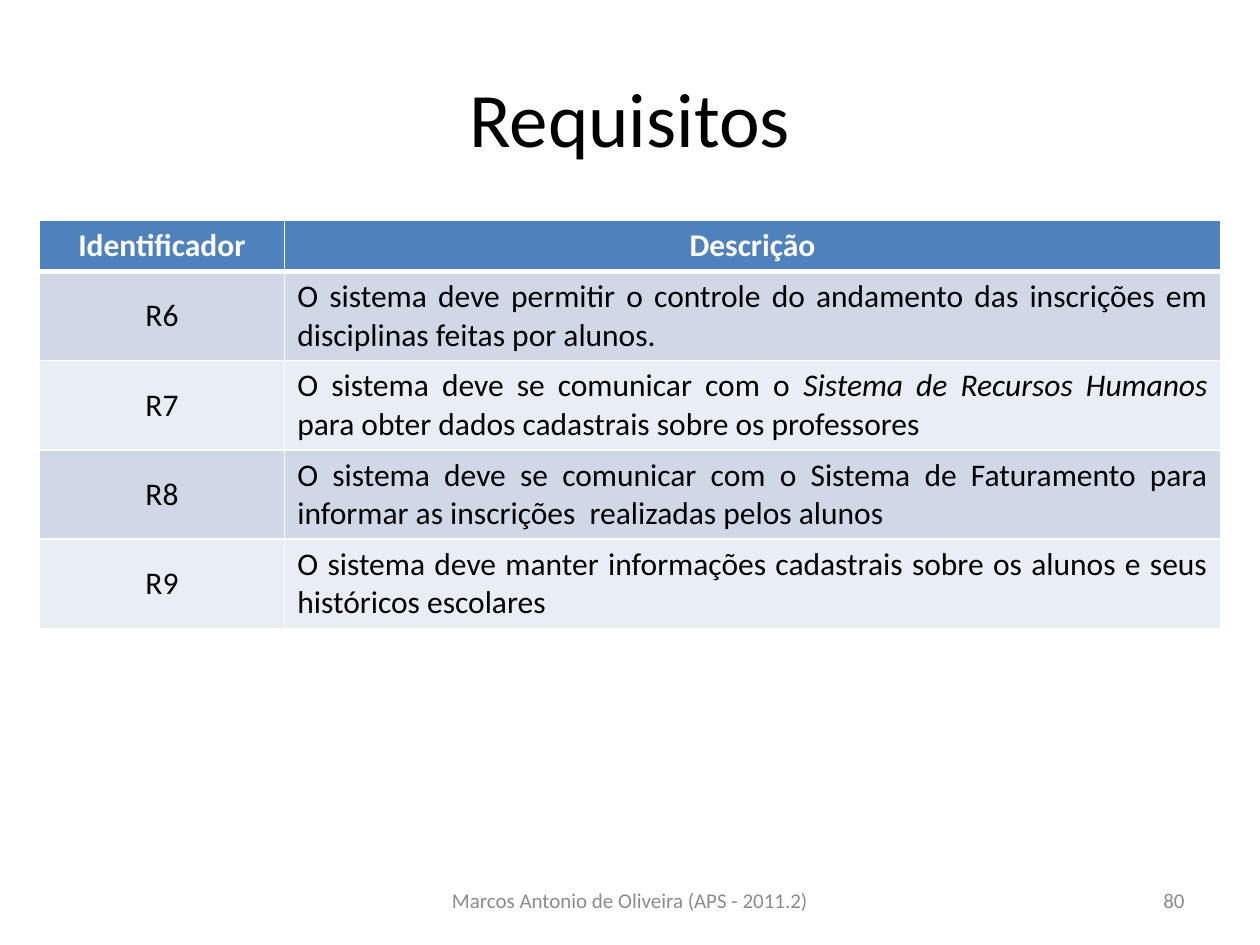
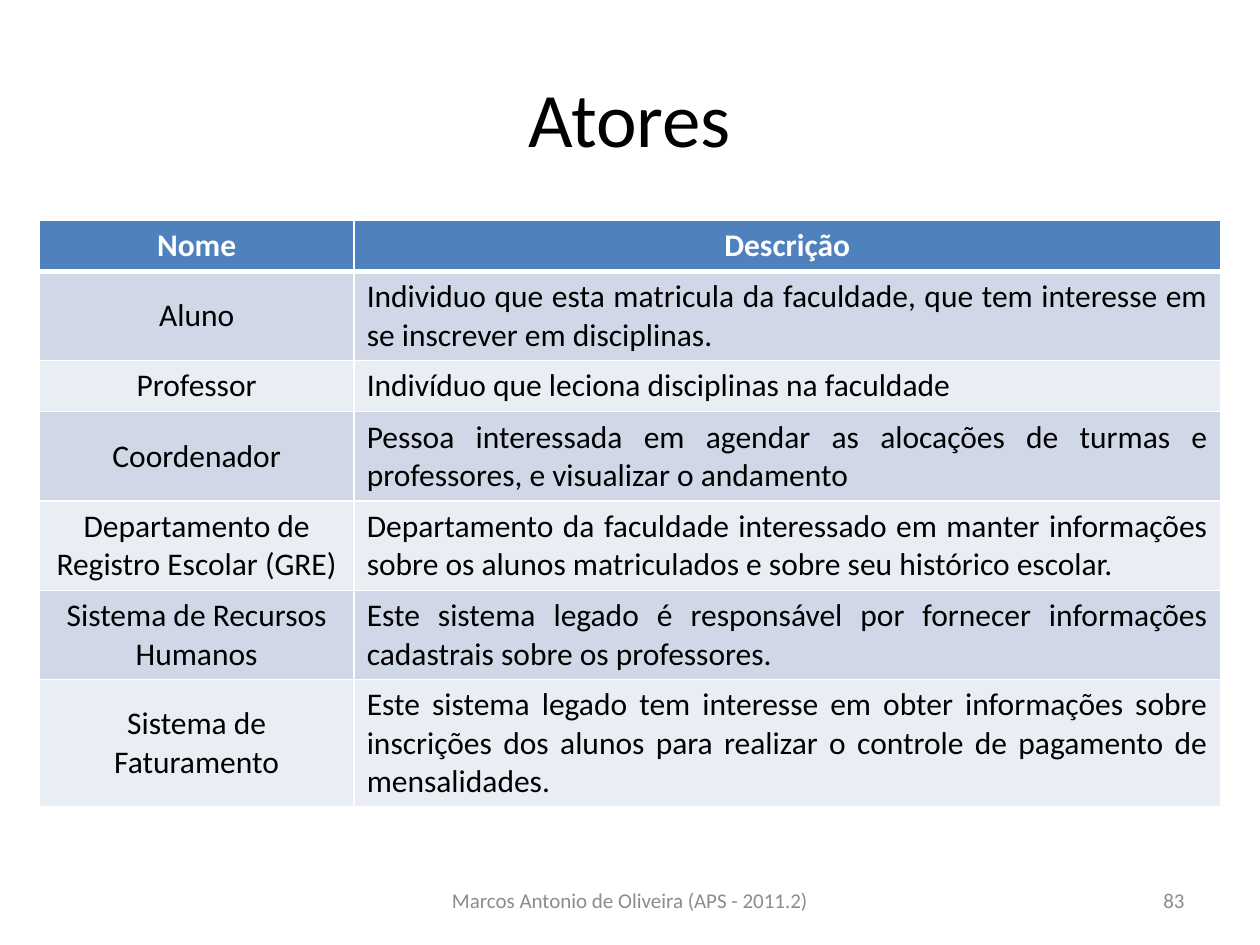
from dataclasses import dataclass

import lxml.etree
import pptx
import pptx.dml.color
import pptx.enum.text
import pptx.oxml.ns
import pptx.util

Cm = pptx.util.Cm
Pt = pptx.util.Pt
ALIGN = pptx.enum.text.PP_ALIGN
MIDDLE = pptx.enum.text.MSO_ANCHOR.MIDDLE
TOP = pptx.enum.text.MSO_ANCHOR.TOP


@dataclass(frozen=True)
class Theme:
    font: str = "Calibri"
    title_size: int = 44
    table_size: int = 18
    footer_size: int = 12
    text: str = "000000"
    footer: str = "8C8C8C"
    header_text: str = "FFFFFF"
    header_fill: str = "4F81BD"
    band_fills: tuple = ("D0D8E8", "E9EDF4")
    border: str = "FFFFFF"
    thin_border: int = 1
    header_border: int = 3


THEME = Theme()
FOOTER_TEXT = "Marcos Antonio de Oliveira (APS - 2011.2)"

# Table geometry in centimetres
TABLE_LEFT, TABLE_TOP, TABLE_WIDTH = 0.79, 4.44, 23.81
LINE_HEIGHT, ROW_PADDING = 0.77, 0.26

# Each row: name, description (*italic*), number of text lines
REQUIREMENTS = [
    ("R6", "O sistema deve permitir o controle do andamento das inscrições em "
           "disciplinas feitas por alunos.", 2),
    ("R7", "O sistema deve se comunicar com o *Sistema de Recursos Humanos* para "
           "obter dados cadastrais sobre os professores", 2),
    ("R8", "O sistema deve se comunicar com o Sistema de Faturamento para "
           "informar as inscrições  realizadas pelos alunos", 2),
    ("R9", "O sistema deve manter informações cadastrais sobre os alunos e seus "
           "históricos escolares", 2),
]
ACTORS = [
    ("Aluno", "Individuo que esta matricula da faculdade, que tem interesse em "
              "se inscrever em disciplinas.", 2),
    ("Professor", "Indivíduo que leciona disciplinas na faculdade", 1),
    ("Coordenador", "Pessoa interessada em agendar as alocações de turmas e "
                    "professores, e visualizar o andamento", 2),
    ("Departamento de Registro Escolar (GRE)",
     "Departamento da faculdade interessado em manter informações sobre os "
     "alunos matriculados e sobre seu histórico escolar.", 2),
    ("Sistema de Recursos Humanos",
     "Este sistema legado é responsável por fornecer informações cadastrais "
     "sobre os professores.", 2),
    ("Sistema de Faturamento",
     "Este sistema legado tem interesse em obter informações sobre inscrições "
     "dos alunos para realizar o controle de pagamento de mensalidades.", 3),
]


def rgb(color):
    return pptx.dml.color.RGBColor.from_string(color)


def format_paragraph(paragraph, size, color, alignment, bold=False):
    paragraph.alignment = alignment
    for run in paragraph.runs:
        run.font.name = THEME.font
        run.font.size = Pt(size)
        run.font.bold = bold
        run.font.color.rgb = rgb(color)


# Slide frame: title and footer
def add_footer_text(slide, text, left, width, alignment):
    shape = slide.shapes.add_textbox(Cm(left), Cm(17.65), Cm(width), Cm(1.01))
    text_frame = shape.text_frame
    text_frame.word_wrap = True
    text_frame.vertical_anchor = MIDDLE
    text_frame.text = text
    format_paragraph(text_frame.paragraphs[0], THEME.footer_size, THEME.footer, alignment)


def add_titled_slide(presentation, title, number):
    slide = presentation.slides.add_slide(presentation.slide_layouts[5])
    shape = slide.shapes.title
    shape.left, shape.top, shape.width, shape.height = Cm(1.27), Cm(0.76), Cm(22.86), Cm(3.18)
    shape.text_frame.text = title
    shape.text_frame.vertical_anchor = MIDDLE
    format_paragraph(shape.text_frame.paragraphs[0], THEME.title_size, THEME.text, ALIGN.CENTER)
    add_footer_text(slide, FOOTER_TEXT, 8.68, 8.04, ALIGN.CENTER)
    add_footer_text(slide, str(number), 18.2, 5.93, ALIGN.RIGHT)
    return slide


# Table
def set_borders(cell, top, bottom):
    properties = cell._tc.get_or_add_tcPr()
    widths = {"lnL": THEME.thin_border, "lnR": THEME.thin_border, "lnT": top, "lnB": bottom}
    for side, width in widths.items():
        line = lxml.etree.SubElement(properties, pptx.oxml.ns.qn(f"a:{side}"), w=str(Pt(width)))
        fill = lxml.etree.SubElement(line, pptx.oxml.ns.qn("a:solidFill"))
        lxml.etree.SubElement(fill, pptx.oxml.ns.qn("a:srgbClr"), val=THEME.border)


def fill_cell(cell, text, row_index, alignment):
    is_header = row_index == 0
    set_borders(
        cell,
        top=THEME.header_border if row_index == 1 else THEME.thin_border,
        bottom=THEME.header_border if is_header else THEME.thin_border,
    )
    cell.fill.solid()
    fill = THEME.header_fill if is_header else THEME.band_fills[(row_index - 1) % 2]
    cell.fill.fore_color.rgb = rgb(fill)
    cell.vertical_anchor = TOP if is_header else MIDDLE

    paragraph = cell.text_frame.paragraphs[0]
    for index, part in enumerate(text.split("*")):
        run = paragraph.add_run()
        run.text = part
        run.font.italic = index % 2 == 1
    color = THEME.header_text if is_header else THEME.text
    format_paragraph(paragraph, THEME.table_size, color, alignment, bold=is_header)


def add_description_table(slide, name_heading, name_width, entries):
    rows = [(name_heading, "Descrição", 1), *entries]
    heights = [LINE_HEIGHT * lines + ROW_PADDING for _, _, lines in rows]
    table = slide.shapes.add_table(
        len(rows), 2, Cm(TABLE_LEFT), Cm(TABLE_TOP), Cm(TABLE_WIDTH), Cm(sum(heights))
    ).table
    table.columns[0].width = Cm(name_width)
    table.columns[1].width = Cm(TABLE_WIDTH - name_width)
    for row_index, (name, description, _) in enumerate(rows):
        table.rows[row_index].height = Cm(heights[row_index])
        fill_cell(table.cell(row_index, 0), name, row_index, ALIGN.CENTER)
        alignment = ALIGN.JUSTIFY if row_index else ALIGN.CENTER
        fill_cell(table.cell(row_index, 1), description, row_index, alignment)


def main():
    presentation = pptx.Presentation()
    presentation.slide_width, presentation.slide_height = Cm(25.4), Cm(19.05)

    requirements_slide = add_titled_slide(presentation, "Requisitos", 80)
    add_description_table(requirements_slide, "Identificador", 4.95, REQUIREMENTS)

    actors_slide = add_titled_slide(presentation, "Atores", 83)
    add_description_table(actors_slide, "Nome", 6.35, ACTORS)

    presentation.save("out.pptx")


if __name__ == "__main__":
    main()
